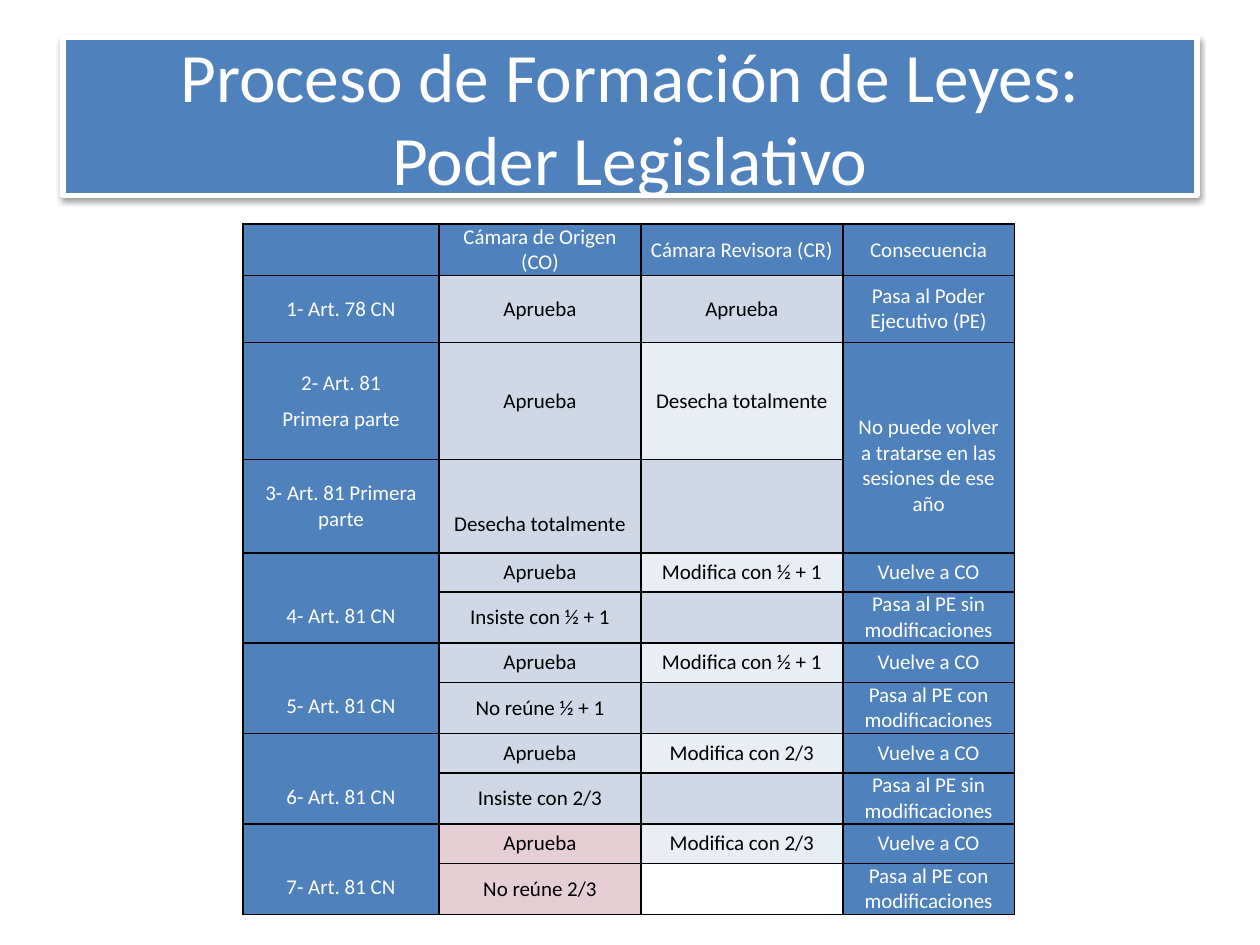
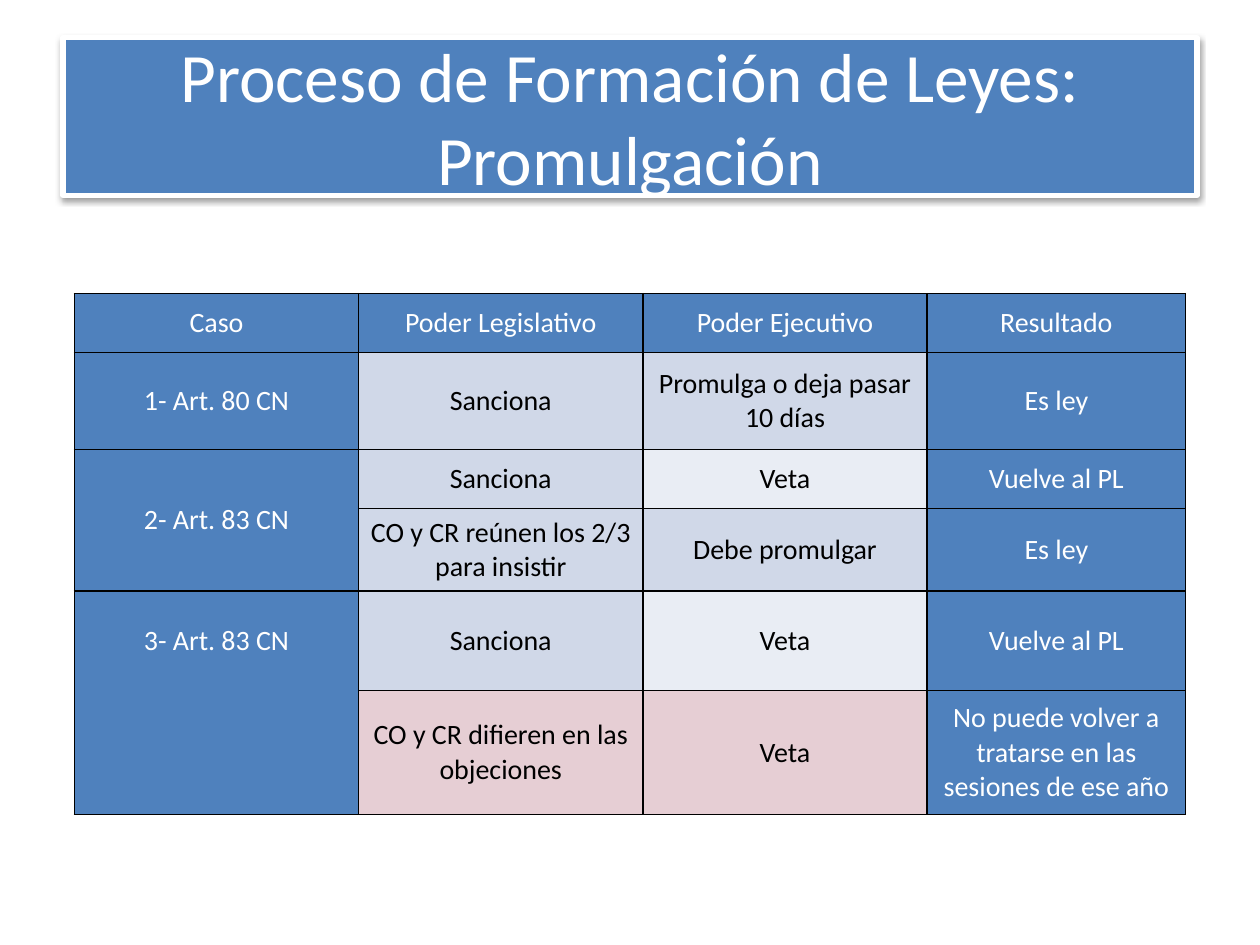
from lxml import etree
from pptx import Presentation
from pptx.dml.color import RGBColor
from pptx.enum.shapes import MSO_SHAPE
from pptx.enum.text import MSO_ANCHOR, PP_ALIGN
from pptx.oxml import parse_xml
from pptx.oxml.ns import nsdecls, qn
from pptx.util import Cm, Pt

RECTANGLE = MSO_SHAPE.RECTANGLE
MIDDLE = MSO_ANCHOR.MIDDLE
CENTER = PP_ALIGN.CENTER

BLUE = RGBColor(0x4F, 0x81, 0xBD)
MIST = RGBColor(0xD0, 0xD8, 0xE8)
PALE = RGBColor(0xE9, 0xED, 0xF4)
PINK = RGBColor(0xE6, 0xCE, 0xD4)
WHITE = RGBColor(0xFF, 0xFF, 0xFF)
BLACK = RGBColor(0x00, 0x00, 0x00)

MERGED = "^"
JOINED = "|"
NO_RETURN = "No puede volver a tratarse en las sesiones de ese año"
KEEPS = "Pasa al PE sin modificaciones"
CHANGES = "Pasa al PE con modificaciones"


class LawDeck:
    """Deck style plus the slide being filled."""

    font = "Calibri"

    def __init__(self):
        self.deck = Presentation()
        self.deck.slide_width, self.deck.slide_height = Cm(25.4), Cm(19.05)
        self.page = None

    def new_page(self, subject):
        self.page = self.deck.slides.add_slide(self.deck.slide_layouts[6])
        self.title_band(["Proceso de Formación de Leyes:", subject])

    def add_text(self, para, text, size, color):
        para.alignment = CENTER
        span = para.add_run()
        span.text = text
        span.font.name = self.font
        span.font.size = Pt(size)
        span.font.color.rgb = color

    def title_band(self, lines):
        box = self.page.shapes.add_shape(RECTANGLE, Cm(1.27), Cm(0.76), Cm(22.86), Cm(3.18))
        box.fill.solid()
        box.fill.fore_color.rgb = BLUE
        box.line.color.rgb = WHITE
        box.line.width = Pt(3)
        self.soft_shadow(box)
        frame = box.text_frame
        frame.word_wrap = True
        frame.vertical_anchor = MIDDLE
        para = frame.paragraphs[0]
        for number, line in enumerate(lines):
            if number:
                para.add_line_break()
            self.add_text(para, line, 39.6, WHITE)

    def soft_shadow(self, box):
        box.shadow.inherit = False
        effects = box._element.spPr.find(qn("a:effectLst"))
        effects.append(parse_xml(
            f'<a:outerShdw {nsdecls("a")} blurRad="40000" dist="20000" dir="5400000" rotWithShape="0">'
            '<a:srgbClr val="000000"><a:alpha val="38000"/></a:srgbClr></a:outerShdw>'))

    def border(self, cell, hidden):
        properties = cell._tc.get_or_add_tcPr()
        for side in "LRTB":
            line = etree.SubElement(properties, qn(f"a:ln{side}"), w=str(Pt(1)))
            if side == hidden:
                etree.SubElement(line, qn("a:noFill"))
            else:
                paint = etree.SubElement(line, qn("a:solidFill"))
                etree.SubElement(paint, qn("a:srgbClr"), val=str(BLACK))

    def fill_cell(self, cell, text, size, color, hidden, lowered):
        self.border(cell, hidden)
        cell.fill.solid()
        cell.fill.fore_color.rgb = color
        cell.vertical_anchor = MIDDLE
        cell.margin_left = cell.margin_right = Cm(0.18)
        cell.margin_top = Cm(0.73 if lowered else 0)
        cell.margin_bottom = 0
        if text in ("", MERGED, JOINED):
            return
        frame = cell.text_frame
        for number, line in enumerate(text.split("\n")):
            para = frame.add_paragraph() if number else frame.paragraphs[0]
            para.space_after = Pt(6)
            self.add_text(para, line, size, WHITE if color == BLUE else BLACK)

    def table(self, left, top, widths, rows, size, lowered=()):
        height = sum(row[0] for row in rows)
        frame = self.page.shapes.add_table(
            len(rows), len(widths), Cm(left), Cm(top), Cm(sum(widths)), Cm(height))
        grid = frame.table
        for column, width in zip(grid.columns, widths):
            column.width = Cm(width)
        for y, (row_height, shades, texts) in enumerate(rows):
            grid.rows[y].height = Cm(row_height)
            below = rows[y + 1][2] if y + 1 < len(rows) else [""] * len(texts)
            for x, (text, color) in enumerate(zip(texts, (BLUE, *shades, BLUE))):
                hidden = "T" if text == JOINED else "B" if below[x] == JOINED else None
                self.fill_cell(grid.cell(y, x), text, size, color, hidden, (y, x) in lowered)
                if text == MERGED:
                    grid.cell(y - 1, x).merge(grid.cell(y, x))


def debate(number, change, reply, outcome, shade=MIST, last=MIST):
    """Return the two rows of a bill that goes back to its first chamber."""
    return [
        (0.79, (shade, PALE), (f"{number}- Art. 81 CN", "Aprueba", change, "Vuelve a CO")),
        (0.94, (shade, last), (MERGED, reply, "", outcome)),
    ]


def main():
    """Build and save both slides."""
    laws = LawDeck()

    laws.new_page("Poder Legislativo")
    half, two_thirds = "Modifica con ½ + 1", "Modifica con 2/3"
    chambers = [
        (0.97, (BLUE, BLUE), ("", "Cámara de Origen (CO)", "Cámara Revisora (CR)", "Consecuencia")),
        (1.35, (MIST, MIST), ("1- Art. 78 CN", "Aprueba", "Aprueba", "Pasa al Poder Ejecutivo (PE)")),
        (2.36, (MIST, PALE), ("2- Art. 81\nPrimera parte", "Aprueba", "Desecha totalmente", NO_RETURN)),
        (1.88, (MIST, MIST), ("3- Art. 81 Primera parte", "Desecha totalmente", "", MERGED)),
        *debate(4, half, "Insiste con ½ + 1", KEEPS),
        *debate(5, half, "No reúne ½ + 1", CHANGES),
        *debate(6, two_thirds, "Insiste con 2/3", KEEPS),
        *debate(7, two_thirds, "No reúne 2/3", CHANGES, PINK, WHITE),
    ]
    lowered = {(2, 3), (3, 1), *((y, 0) for y in range(4, 12, 2))}
    laws.table(4.9, 4.52, (3.95, 4.07, 4.07, 3.46), chambers, 12, lowered)

    laws.new_page("Promulgación")
    powers = [
        (1.19, (BLUE, BLUE), ("Caso", "Poder Legislativo", "Poder Ejecutivo", "Resultado")),
        (1.95, (MIST, MIST), ("1- Art. 80 CN", "Sanciona", "Promulga o deja pasar 10 días", "Es ley")),
        (1.19, (MIST, PALE), ("2- Art. 83 CN", "Sanciona", "Veta", "Vuelve al PL")),
        (1.66, (MIST, MIST), (MERGED, "CO y CR reúnen los 2/3 para insistir", "Debe promulgar", "Es ley")),
        (2.01, (MIST, PALE), ("3- Art. 83 CN", "Sanciona", "Veta", "Vuelve al PL")),
        (2.5, (PINK, PINK), (JOINED, "CO y CR difieren en las objeciones", "Veta", NO_RETURN)),
    ]
    laws.table(1.5, 5.92, (5.73, 5.73, 5.73, 5.21), powers, 16)

    laws.deck.save("out.pptx")


if __name__ == "__main__":
    main()
